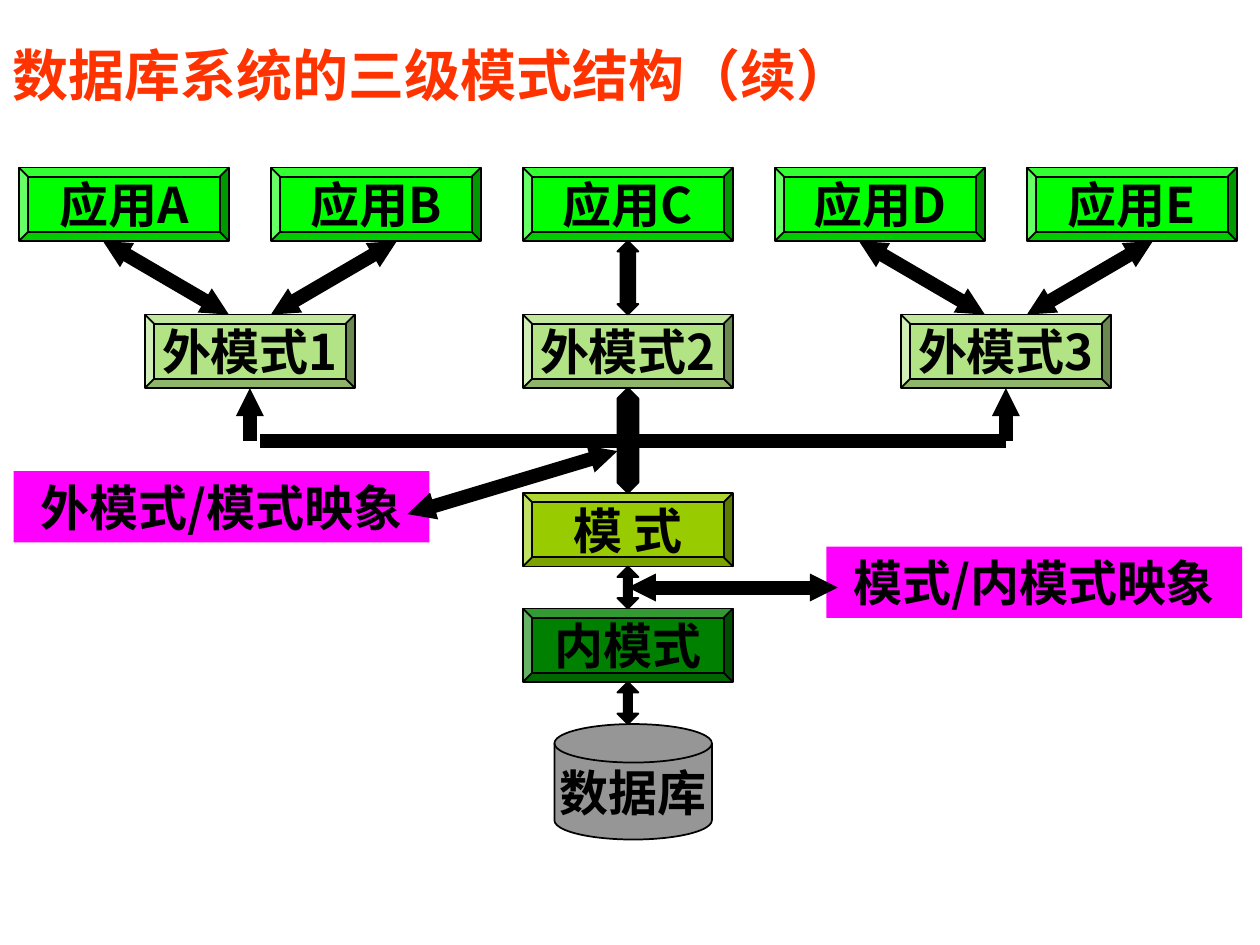
import pptx
import pptx.util
import pptx.dml.color
import pptx.enum.shapes
import pptx.enum.text
import pptx.oxml.ns
from lxml import etree

COLORS = {
    "title": "FF3300", "ink": "000000", "application": "00FF00",
    "external": "B2E385", "schema": "99CC00", "internal": "008000",
    "database": "969696", "mapping": "FF00FF",
}
FONT = "Noto Sans CJK SC"
SHAPE = pptx.enum.shapes.MSO_SHAPE

# Diagram grid: square cells, counted from the top left application box
LEFT, TOP, CELL = 0.15, 1.33, 1 / 12
BOX_W, BOX_H = 20, 7
EXTERNAL_CENTERS = (22, 58, 94)
MIDDLE = EXTERNAL_CENTERS[1]
APP_ROW, EXTERNAL_ROW, SCHEMA_ROW, INTERNAL_ROW, DATABASE_ROW = 0, 14, 31, 42, 53
BUS_ROW = 26


def color(name):
    return pptx.dml.color.RGBColor.from_string(COLORS[name])


def column(number):
    return pptx.util.Inches(LEFT + number * CELL)


def row(number):
    return pptx.util.Inches(TOP + number * CELL)


def span(cells):
    return pptx.util.Inches(cells * CELL)


def format_text(paragraph, size, ink, align):
    paragraph.alignment = align
    font = paragraph.font
    font.name, font.size, font.bold = FONT, pptx.util.Pt(size), True
    font.color.rgb = color(ink)
    # The East Asian face follows the Latin one
    latin = font._element.find(pptx.oxml.ns.qn("a:latin"))
    east_asian = etree.Element(pptx.oxml.ns.qn("a:ea"), typeface=FONT)
    latin.addnext(east_asian)


def add_block(slide, preset, box, fill, label="", outlined=True):
    x, y, width, height = box
    block = slide.shapes.add_shape(preset, column(x), row(y), span(width), span(height))
    block.shadow.inherit = False
    block.fill.solid()
    block.fill.fore_color.rgb = color(fill)
    if outlined:
        block.line.color.rgb = color("ink")
        block.line.width = pptx.util.Pt(1)
    else:
        block.line.fill.background()
    if label:
        frame = block.text_frame
        frame.word_wrap = False
        frame.vertical_anchor = pptx.enum.text.MSO_ANCHOR.MIDDLE
        frame.text = label
        format_text(frame.paragraphs[0], 28, "ink", pptx.enum.text.PP_ALIGN.CENTER)
    return block


def add_level(slide, center, top, fill, label):
    add_block(slide, SHAPE.BEVEL, (center - BOX_W / 2, top, BOX_W, BOX_H), fill, label)


def add_double_arrow(slide, top, bottom):
    height = bottom - top
    arrow = add_block(slide, SHAPE.UP_DOWN_ARROW, (MIDDLE - 1, top, 2, height), "ink")
    arrow.adjustments[0] = 0.5
    arrow.adjustments[1] = height / 10


def add_link(slide, start, end, heads=()):
    link = slide.shapes.add_connector(
        pptx.enum.shapes.MSO_CONNECTOR.STRAIGHT,
        column(start[0]), row(start[1]), column(end[0]), row(end[1]))
    link.line.color.rgb = color("ink")
    link.line.width = pptx.util.Pt(8)
    outline = link.line._get_or_add_ln()
    for head in heads:
        etree.SubElement(outline, pptx.oxml.ns.qn("a:" + head),
                         type="triangle", w="sm", len="sm")
    etree.SubElement(link._element.spPr, pptx.oxml.ns.qn("a:effectLst"))


def add_title(slide, left, top, width, height):
    title = slide.shapes.title
    title.left, title.top, title.width, title.height = map(
        pptx.util.Inches, (left, top, width, height))
    title.text_frame.text = "数据库系统的三级模式结构（续）"
    title.text_frame.vertical_anchor = pptx.enum.text.MSO_ANCHOR.MIDDLE
    format_text(title.text_frame.paragraphs[0], 32, "title", pptx.enum.text.PP_ALIGN.LEFT)


def add_levels(slide):
    add_block(slide, SHAPE.FLOWCHART_MAGNETIC_DISK, (51, DATABASE_ROW, 15, 11),
              "database", "数据库")
    add_level(slide, MIDDLE, INTERNAL_ROW, "internal", "内模式")
    add_level(slide, MIDDLE, SCHEMA_ROW, "schema", "模 式")
    for number, center in enumerate(EXTERNAL_CENTERS, 1):
        add_level(slide, center, EXTERNAL_ROW, "external", f"外模式{number}")
    for index, letter in enumerate("ABCDE"):
        add_level(slide, BOX_W / 2 + 24 * index, APP_ROW, "application", f"应用{letter}")


def add_links(slide):
    # Vertical arrows down the middle
    tops = (APP_ROW, EXTERNAL_ROW, SCHEMA_ROW, INTERNAL_ROW, DATABASE_ROW)
    for upper, lower in zip(tops, tops[1:]):
        add_double_arrow(slide, upper + BOX_H, lower)

    # Bus from the schema to the outer external schemas
    first, _, last = EXTERNAL_CENTERS
    add_link(slide, (MIDDLE + 1, BUS_ROW), (last, BUS_ROW))
    add_link(slide, (first + 1, BUS_ROW), (MIDDLE, BUS_ROW))
    for center in (first, last):
        add_link(slide, (center, BUS_ROW), (center, EXTERNAL_ROW + BOX_H), ["tailEnd"])
        # Slanted arrows to the two applications above
        for side in (-1, 1):
            add_link(slide, (center + 2 * side, EXTERNAL_ROW),
                     (center + 14 * side, APP_ROW + BOX_H), ["headEnd", "tailEnd"])


def add_mappings(slide):
    for label, x, y, start, end in (
            ("外模式/模式映象", -0.5, 28.9, (37, 33), (57, 27)),
            ("模式/内模式映象", 76.9, 36.1, (58, 40), (78, 40))):
        add_block(slide, SHAPE.RECTANGLE, (x, y, 39.6, 6.8), "mapping", label, outlined=False)
        add_link(slide, start, end, ["headEnd", "tailEnd"])


def main():
    deck = pptx.Presentation()
    deck.slide_width, deck.slide_height = pptx.util.Inches(10), pptx.util.Inches(7.5)
    slide = deck.slides.add_slide(deck.slide_layouts[5])
    add_title(slide, 0, 0.28, 8.08, 0.62)
    add_levels(slide)
    add_links(slide)
    add_mappings(slide)
    deck.save("out.pptx")


if __name__ == "__main__":
    main()
